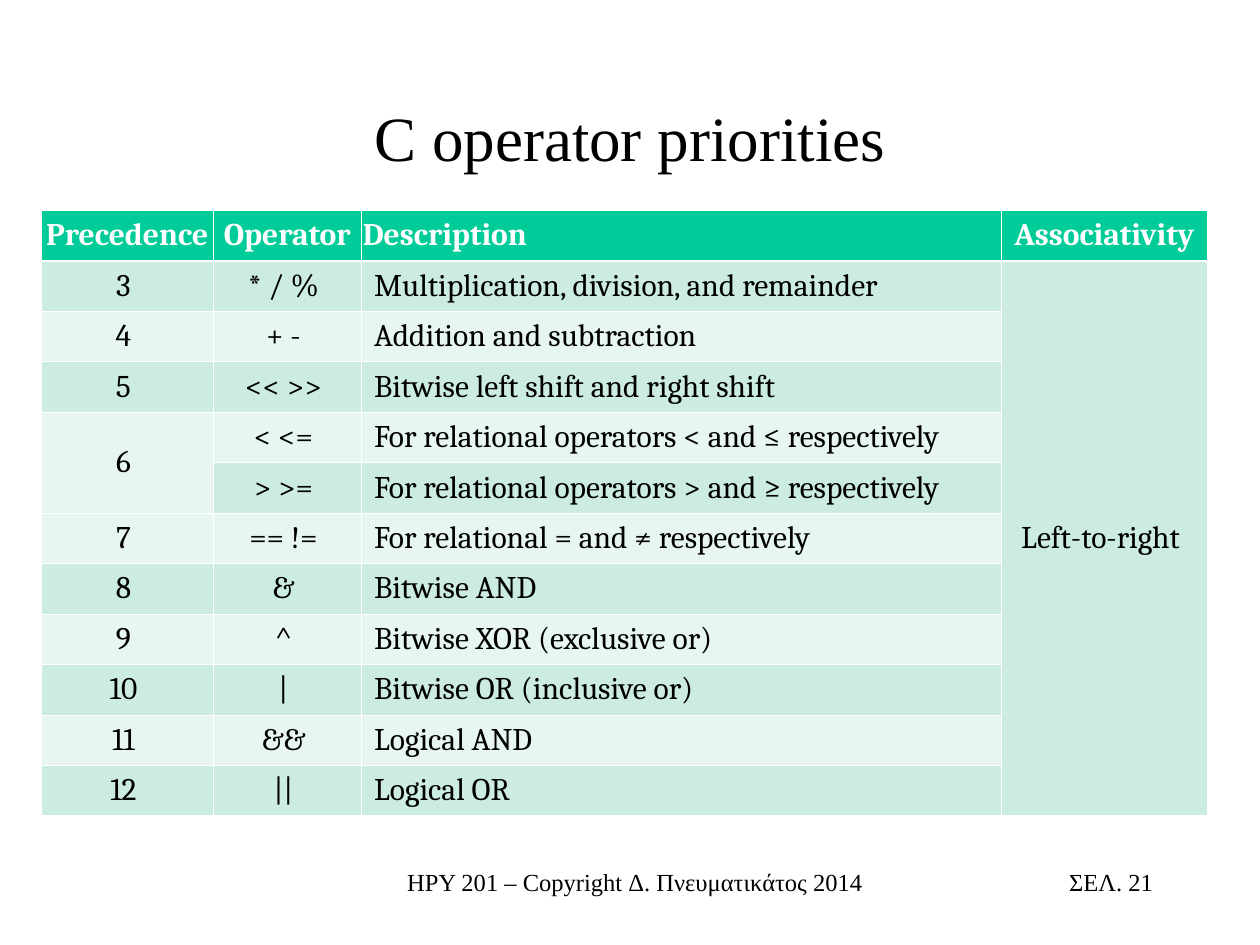
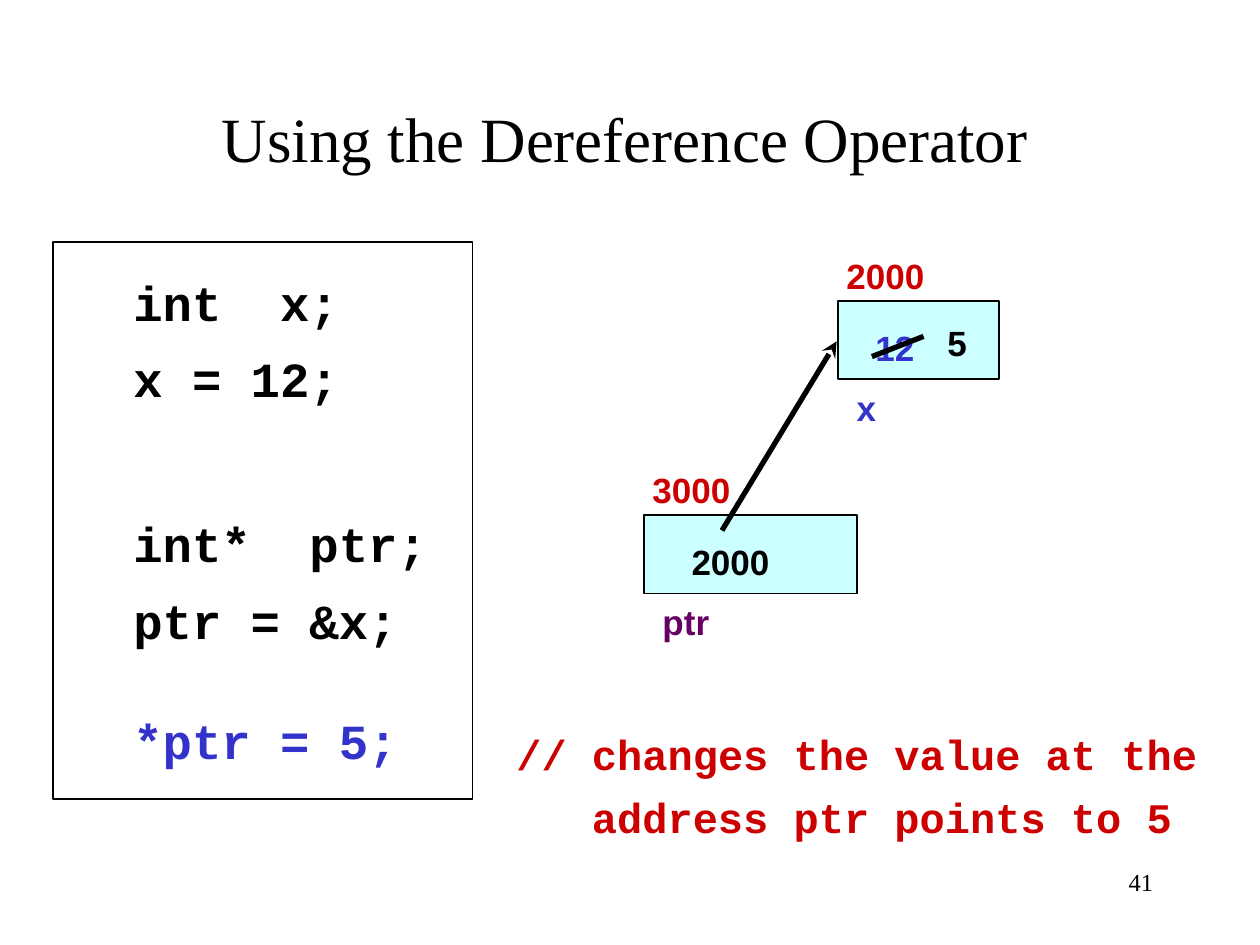
from dataclasses import dataclass

from lxml import etree
from pptx import Presentation
from pptx.dml.color import RGBColor
from pptx.enum import shapes, text
from pptx.oxml import ns
from pptx.util import Inches, Pt

COLORS = {
    "black": "000000", "white": "FFFFFF", "header": "00CC99",
    "dark band": "CBECDE", "light band": "E7F6EF", "memory": "CCFFFF",
    "blue": "3333CC", "red": "CC0000", "purple": "660066",
}
LEFT, CENTER, RIGHT = text.PP_ALIGN.LEFT, text.PP_ALIGN.CENTER, text.PP_ALIGN.RIGHT
TOP, MIDDLE, BOTTOM = text.MSO_ANCHOR.TOP, text.MSO_ANCHOR.MIDDLE, text.MSO_ANCHOR.BOTTOM


@dataclass
class Box:
    left: float
    top: float
    width: float
    height: float

    def lengths(self) -> list:
        return [Inches(n) for n in (self.left, self.top, self.width, self.height)]


@dataclass
class Line:
    """One paragraph; before is in points, margin in inches."""
    text: str
    before: float = 0
    margin: float = 0
    color: str = ""


@dataclass
class MemoryCell:
    box: Box
    address: str
    value: str
    name: str
    value_color: str
    name_color: str
    value_indent: float
    name_indent: float


FOOTER = Box(3, 6.83, 4.08, 0.5)
PAGE_NUMBER = Box(7.17, 6.83, 2.08, 0.5)

COLUMN_WIDTHS = (1.36, 1.18, 5.08, 1.63)
HEADERS = ("Precedence", "Operator", "Description", "Associativity")
OPERATORS = (
    ("3", "* / %", "Multiplication, division, and remainder"),
    ("4", "+ -", "Addition and subtraction"),
    ("5", "<< >>", "Bitwise left shift and right shift"),
    ("6", "< <=", "For relational operators < and ≤ respectively"),
    ("", "> >=", "For relational operators > and ≥ respectively"),
    ("7", "== !=", "For relational = and ≠ respectively"),
    ("8", "&", "Bitwise AND"),
    ("9", "^", "Bitwise XOR (exclusive or)"),
    ("10", "|", "Bitwise OR (inclusive or)"),
    ("11", "&&", "Logical AND"),
    ("12", "||", "Logical OR"),
)

CODE = (
    Line("int  x;"),
    Line("x = 12;", before=10),
    Line("int*  ptr;", before=61),
    Line("ptr = &x;", before=10),
    Line("*ptr = 5;", before=35, color="blue"),
)
COMMENT = (
    Line("// changes the value at the"),
    Line("address ptr points to 5", before=7.5, margin=0.6),
)
MEMORY = (
    MemoryCell(Box(6.65, 2.39, 1.28, 0.62), "2000", "12", "x", "blue", "blue", 0.23, 0.08),
    MemoryCell(Box(5.11, 4.09, 1.69, 0.62), "3000", "2000", "ptr", "black", "purple", 0.31, 0.08),
)


def rgb(color: str) -> RGBColor:
    return RGBColor.from_string(COLORS[color])


def write(frame, lines, *, size: float, font: str = "Times New Roman",
          color: str = "black", bold: bool = False, align=LEFT) -> None:
    """Fill a text frame with a string or a sequence of Line."""
    if isinstance(lines, str):
        lines = (Line(lines),)
    for index, line in enumerate(lines):
        paragraph = frame.add_paragraph() if index else frame.paragraphs[0]
        paragraph.alignment = align
        paragraph.space_before = Pt(line.before)
        if line.margin:
            paragraph._p.get_or_add_pPr().set("marL", str(Inches(line.margin)))
        run = paragraph.add_run()
        run.text = line.text
        run.font.name, run.font.size, run.font.bold = font, Pt(size), bold
        run.font.color.rgb = rgb(line.color or color)


def add_text(slide, box: Box, lines, *, anchor=TOP, **text_format) -> None:
    frame = slide.shapes.add_textbox(*box.lengths()).text_frame
    frame.word_wrap = True
    frame.vertical_anchor = anchor
    write(frame, lines, **text_format)


def add_title(slide, box: Box, title: str, anchor) -> None:
    add_text(slide, box, title, anchor=anchor, size=36, align=CENTER)


def add_page_number(slide, number: str) -> None:
    add_text(slide, PAGE_NUMBER, number, size=14, align=RIGHT)


def add_rectangle(slide, box: Box, fill: str, outlined: bool = True):
    shape = slide.shapes.add_shape(shapes.MSO_SHAPE.RECTANGLE, *box.lengths())
    shape.shadow.inherit = False
    shape.fill.solid()
    shape.fill.fore_color.rgb = rgb(fill)
    if outlined:
        shape.line.color.rgb = rgb("black")
        shape.line.width = Pt(1)
    else:
        shape.line.fill.background()
    return shape


def add_line(slide, start: tuple, end: tuple, arrow: bool = False) -> None:
    connector = slide.shapes.add_connector(
        shapes.MSO_CONNECTOR.STRAIGHT, *(Inches(n) for n in start + end))
    connector.line.color.rgb = rgb("black")
    connector.line.width = Pt(3)
    if arrow:
        outline = connector.line._get_or_add_ln()
        etree.SubElement(outline, ns.qn("a:tailEnd"), type="stealth")
    etree.SubElement(connector._element.spPr, ns.qn("a:effectLst"))


def set_borders(cell, **widths: float) -> None:
    """Draw white borders; keys are the sides L, R, T and B, in that order."""
    properties = cell._tc.get_or_add_tcPr()
    for index, (side, width) in enumerate(widths.items()):
        border = etree.Element(ns.qn(f"a:ln{side}"), w=str(Pt(width)))
        fill = etree.SubElement(border, ns.qn("a:solidFill"))
        etree.SubElement(fill, ns.qn("a:srgbClr"), val=COLORS["white"])
        properties.insert(index, border)


def format_cell(cell, row: int, column: int, value: str) -> None:
    is_header = row == 0
    fill = "header" if is_header else "dark band" if row % 2 else "light band"
    cell.fill.solid()
    cell.fill.fore_color.rgb = rgb(fill)
    cell.vertical_anchor = MIDDLE
    is_description = column == 2
    cell.margin_left = Inches(0.01 if is_header else 0.1)
    # Centred values sit a little left of the middle of their column.
    cell.margin_right = Inches(0.01 if is_header else 0.1 if is_description else 0.16)
    set_borders(cell, L=0.45, R=0.45, T=1.47 if row == 1 else 0.45,
                B=1.47 if is_header else 0.45)
    write(cell.text_frame, value, size=18, font="Cambria", bold=is_header,
          color="white" if is_header else "black",
          align=LEFT if is_description else CENTER)


def add_operator_table(slide) -> None:
    rows = [HEADERS] + [operator + ("",) for operator in OPERATORS]
    rows[1] = OPERATORS[0] + ("Left-to-right",)
    box = Box(0.33, 1.67, sum(COLUMN_WIDTHS), 0.38 * len(rows))
    table = slide.shapes.add_table(len(rows), len(HEADERS), *box.lengths()).table
    table.first_row = table.horz_banding = False
    for column, width in zip(table.columns, COLUMN_WIDTHS):
        column.width = Inches(width)
    for row, values in enumerate(rows):
        table.rows[row].height = Inches(0.38 if row else 0.39)
        for column, value in enumerate(values):
            format_cell(table.cell(row, column), row, column, value)
    table.cell(4, 0).merge(table.cell(5, 0))
    table.cell(1, 3).merge(table.cell(len(rows) - 1, 3))


def add_memory_text(slide, cell: MemoryCell) -> None:
    """Put the address above, the value inside and the name below a cell."""
    left, top = cell.box.left - 0.03, cell.box.top
    for label, indent, drop, color in (
            (cell.address, 0, -0.42, "red"),
            (cell.value, cell.value_indent, 0.15, cell.value_color),
            (cell.name, cell.name_indent, 0.63, cell.name_color)):
        add_text(slide, Box(left + indent, top + drop, 1, 0.44), label,
                 size=20, font="Arial", bold=True, color=color)


def build_priorities(slide) -> None:
    add_title(slide, Box(0.75, 0.67, 8.5, 0.83), "C operator priorities", MIDDLE)
    add_operator_table(slide)
    add_text(slide, FOOTER, "ΗΡΥ 201 – Copyright Δ. Πνευματικάτος 2014",
             size=14, align=CENTER)
    add_page_number(slide, "ΣΕΛ. 21")


def build_dereference(slide) -> None:
    add_page_number(slide, "41")
    add_rectangle(slide, Box(0.42, 1.92, 3.33, 4.42), "white")
    add_text(slide, Box(0.96, 2.11, 2.75, 4.1), CODE,
             size=28, font="Courier New", bold=True)
    add_title(slide, Box(0.67, 0.19, 8.58, 1.25), "Using the Dereference Operator", BOTTOM)
    for cell in MEMORY:
        add_rectangle(slide, cell.box, "memory")
    add_line(slide, (5.73, 4.21), (6.64, 2.71), arrow=True)
    for cell in MEMORY:
        add_memory_text(slide, cell)
    new_value = add_rectangle(slide, Box(7.42, 2.5, 0.35, 0.44), "memory", outlined=False)
    new_value.text_frame.word_wrap = False
    new_value.text_frame.vertical_anchor = TOP
    write(new_value.text_frame, "5", size=20, font="Arial", bold=True)
    add_line(slide, (6.92, 2.83), (7.33, 2.67))
    add_text(slide, Box(4, 5.73, 5.67, 0.92), COMMENT,
             size=24, font="Courier New", bold=True, color="red")


def main() -> None:
    presentation = Presentation()
    presentation.slide_width, presentation.slide_height = Inches(10), Inches(7.5)
    for build in (build_priorities, build_dereference):
        build(presentation.slides.add_slide(presentation.slide_layouts[6]))
    presentation.save("out.pptx")


if __name__ == "__main__":
    main()
